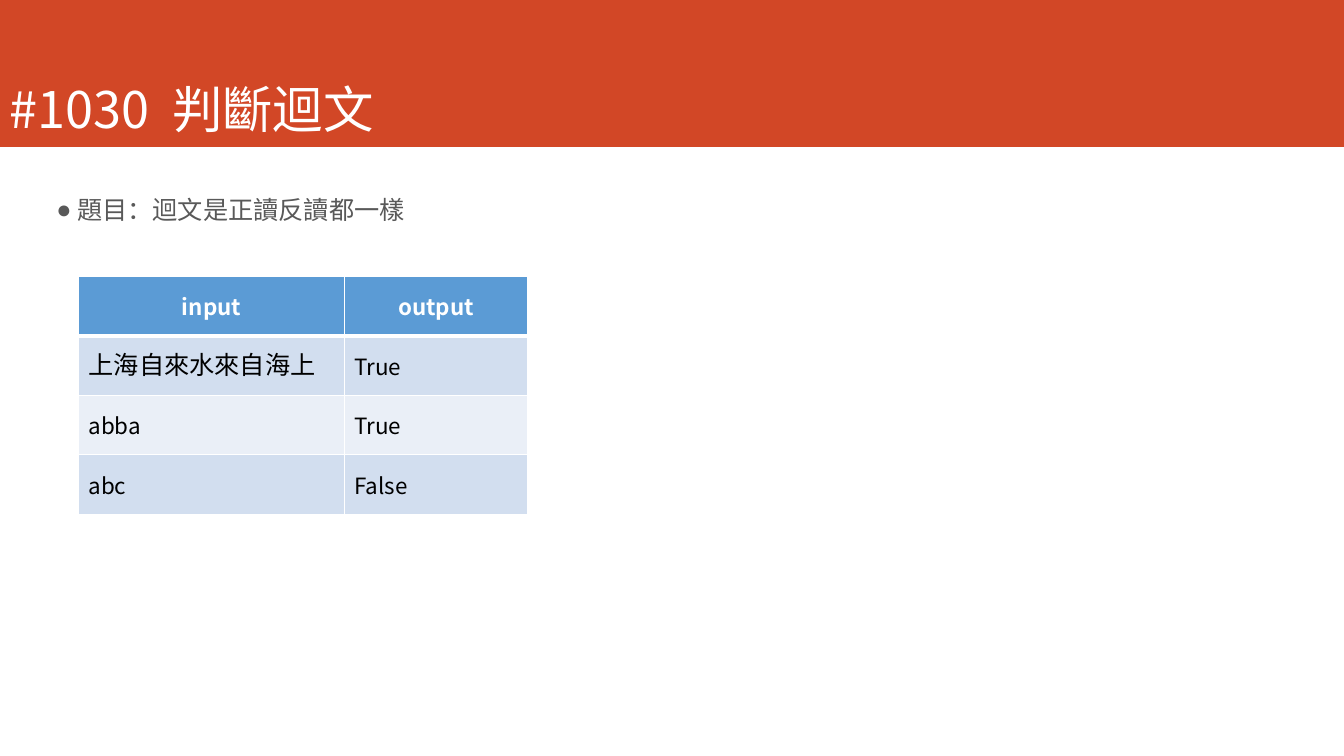
import lxml.etree
import pptx
import pptx.dml.color
import pptx.enum.shapes
import pptx.enum.text
import pptx.oxml.ns
import pptx.util
from pptx.util import Cm, Pt

RGBColor = pptx.dml.color.RGBColor
WHITE = RGBColor(0xFF, 0xFF, 0xFF)
BLACK = RGBColor(0, 0, 0)
BANNER_RED = RGBColor(0xD2, 0x47, 0x26)
BODY_GREY = RGBColor(0x59, 0x59, 0x59)
HEADER_BLUE = RGBColor(0x5B, 0x9B, 0xD5)
BAND_DARK = RGBColor(0xD2, 0xDE, 0xEF)
BAND_LIGHT = RGBColor(0xEA, 0xEF, 0xF7)

MAIN_FONT = "Noto Sans CJK TC"
PLAIN_FONT = "Arial"
EXAMPLES = [
    ("input", "output"),
    ("上海自來水來自海上", "True"),
    ("abba", "True"),
    ("abc", "False"),
]


def add_element(parent, tag, **attributes):
    return lxml.etree.SubElement(parent, pptx.oxml.ns.qn(tag), attributes)


def format_run(run, size, color, bold=False, font=MAIN_FONT):
    run.font.size = Pt(size)
    run.font.bold = bold
    run.font.color.rgb = color
    run.font.name = font
    add_element(run.font._element, "a:ea", typeface=font)


def add_banner(slide, left, top, width, height):
    banner = slide.shapes.add_shape(
        pptx.enum.shapes.MSO_SHAPE.RECTANGLE, left, top, width, height)
    banner.shadow.inherit = False
    banner.fill.solid()
    banner.fill.fore_color.rgb = BANNER_RED
    banner.line.fill.background()

    title_top = Cm(0.3)
    title = slide.shapes.add_textbox(
        left, top + title_top, Cm(29.87), height - title_top - Cm(0.05))
    text_frame = title.text_frame
    text_frame.word_wrap = True
    text_frame.vertical_anchor = pptx.enum.text.MSO_ANCHOR.BOTTOM
    paragraph = text_frame.paragraphs[0]
    paragraph.line_spacing = 0.9
    for text in ("#1030", " ", "判斷迴文"):
        run = paragraph.add_run()
        run.text = text
        format_run(run, 36, WHITE)
        if text == " ":
            run.font._element.set("spc", "800")


def add_question(slide, left, top, width, height):
    question = slide.shapes.add_textbox(left, top, width, height)
    text_frame = question.text_frame
    text_frame.word_wrap = True
    text_frame.margin_left = text_frame.margin_top = Cm(0.2)
    text_frame.margin_right = text_frame.margin_bottom = 0
    paragraph = text_frame.paragraphs[0]
    paragraph.text = " 題目：迴文是正讀反讀都一樣"
    paragraph.space_before = Pt(6)
    format_run(paragraph.runs[0], 18, BODY_GREY)
    properties = paragraph._p.get_or_add_pPr()
    indent = Cm(0.03)
    properties.set("marL", str(indent))
    properties.set("indent", str(-indent))
    add_element(properties, "a:buFont", typeface=PLAIN_FONT)
    add_element(properties, "a:buChar", char="●")


def add_borders(cell, widths):
    properties = cell._tc.get_or_add_tcPr()
    for side, width in widths.items():
        line = add_element(properties, f"a:ln{side}", w=str(Pt(width)))
        fill = add_element(line, "a:solidFill")
        add_element(fill, "a:srgbClr", val=str(WHITE))


def add_examples(slide, left, top, width, height):
    rows = len(EXAMPLES)
    table = slide.shapes.add_table(rows, 2, left, top, width, height).table
    input_width = Cm(6.7)
    table.columns[0].width = input_width
    table.columns[1].width = width - input_width
    for row, texts in enumerate(EXAMPLES):
        table.rows[row].height = height // rows
        header = row == 0
        band = BAND_DARK if row % 2 else BAND_LIGHT
        for column, text in enumerate(texts):
            cell = table.cell(row, column)
            add_borders(cell, {"L": 1, "R": 1, "T": 3 if row == 1 else 1,
                               "B": 3 if header else 1})
            cell.fill.solid()
            cell.fill.fore_color.rgb = HEADER_BLUE if header else band
            cell.vertical_anchor = pptx.enum.text.MSO_ANCHOR.MIDDLE
            cell.text_frame.text = text
            paragraph = cell.text_frame.paragraphs[0]
            if header:
                paragraph.alignment = pptx.enum.text.PP_ALIGN.CENTER
            run = paragraph.runs[0]
            if text.isascii():
                format_run(run, 16, WHITE if header else BLACK, header)
            else:
                format_run(run, 18, BLACK, font=PLAIN_FONT)


def main():
    presentation = pptx.Presentation()
    presentation.slide_width = Cm(33.87)
    presentation.slide_height = Cm(19.05)
    slide = presentation.slides.add_slide(presentation.slide_layouts[6])
    add_banner(slide, 0, 0, presentation.slide_width, Cm(3.7))
    add_question(slide, Cm(1.22), Cm(4.7), Cm(32.28), Cm(1.24))
    add_examples(slide, Cm(1.98), Cm(6.96), Cm(11.32), Cm(6))
    presentation.save("out.pptx")


if __name__ == "__main__":
    main()
